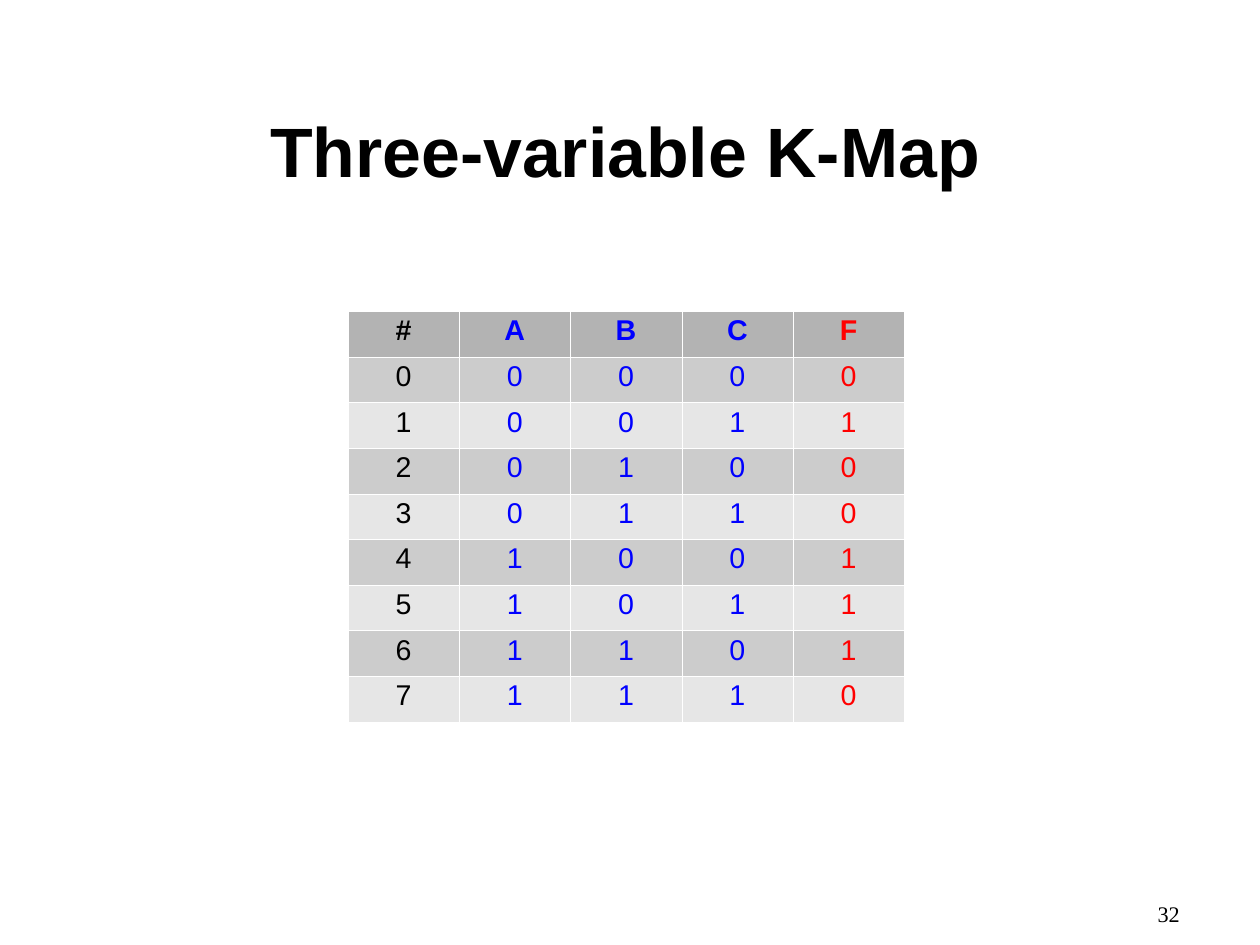
from lxml.etree import SubElement as Sub
from pptx import Presentation
from pptx.dml.color import RGBColor as RGB
from pptx.enum.text import MSO_ANCHOR as Anchor, PP_ALIGN as Align
from pptx.oxml.ns import qn
from pptx.util import Cm, Pt

BLACK = RGB(0x00, 0x00, 0x00)
BLUE = RGB(0x00, 0x00, 0xFF)
RED = RGB(0xFF, 0x00, 0x00)
WHITE = RGB(0xFF, 0xFF, 0xFF)
HEAD = RGB(0xB3, 0xB3, 0xB3)
DARK = RGB(0xCC, 0xCC, 0xCC)
LIGHT = RGB(0xE6, 0xE6, 0xE6)


def write(frame, text, size=18, font="Arial", color=BLACK, bold=False,
          align=Align.CENTER, space=0.93):
    para = frame.paragraphs[0]
    para.alignment = align
    para.line_spacing = space
    run = para.add_run()
    run.text = text
    run.font.size = Pt(size)
    run.font.name = font
    run.font.bold = bold
    run.font.color.rgb = color


class Deck:
    """Hold the style and current slide, and add each kind of element."""

    inks = [BLACK, BLUE, BLUE, BLUE, RED]

    def __init__(self, wide, high):
        self.show = Presentation()
        self.show.slide_width, self.show.slide_height = Cm(wide), Cm(high)
        self.slide = self.show.slides.add_slide(self.show.slide_layouts[5])

    def inset(self, frame, top=0):
        frame.margin_left = frame.margin_right = frame.margin_bottom = 0
        frame.margin_top = Cm(top)
        frame.word_wrap = True

    def title(self, text, left, top, wide, high):
        box = self.slide.shapes.title
        box.left, box.top, box.width, box.height = map(Cm, (left, top, wide, high))
        self.inset(box.text_frame, top=0.1)
        box.text_frame.vertical_anchor = Anchor.MIDDLE
        write(box.text_frame, text, size=44, bold=True)

    def number(self, text, left, top, wide, high):
        box = self.slide.shapes.add_textbox(*map(Cm, (left, top, wide, high)))
        self.inset(box.text_frame)
        write(box.text_frame, text, size=14, font="Times New Roman",
              align=Align.RIGHT, space=0.95)

    def edge(self, cell):
        props = cell._tc.get_or_add_tcPr()
        for side in ("lnL", "lnR", "lnT", "lnB"):
            line = Sub(props, qn(f"a:{side}"), w=str(Pt(0.06)))
            fill = Sub(line, qn("a:solidFill"))
            Sub(fill, qn("a:srgbClr"), val=str(WHITE))

    def table(self, rows, left, top, wide, high):
        count, span = len(rows), len(rows[0])
        grid = self.slide.shapes.add_table(
            count, span, *map(Cm, (left, top, wide, high))).table
        for col in grid.columns:
            col.width = Cm(wide / span)
        for i, row in enumerate(rows):
            grid.rows[i].height = Cm(high / count)
            shade = HEAD if i == 0 else DARK if i % 2 else LIGHT
            for j, text in enumerate(row):
                cell = grid.cell(i, j)
                self.edge(cell)
                cell.fill.solid()
                cell.fill.fore_color.rgb = shade
                write(cell.text_frame, text, color=self.inks[j], bold=i == 0)


def main():
    deck = Deck(28, 21)
    deck.number("32", 19.69, 20.04, 6.53, 1.45)
    truth = ["#ABCF"] + [f"{n}{n:03b}{f}" for n, f in enumerate("01001110")]
    deck.table(truth, 7.73, 6.92, 12.37, 9.12)
    deck.title("Three-variable K-Map", 1.3, 1.75, 25.2, 3.25)
    deck.show.save("out.pptx")


if __name__ == "__main__":
    main()
